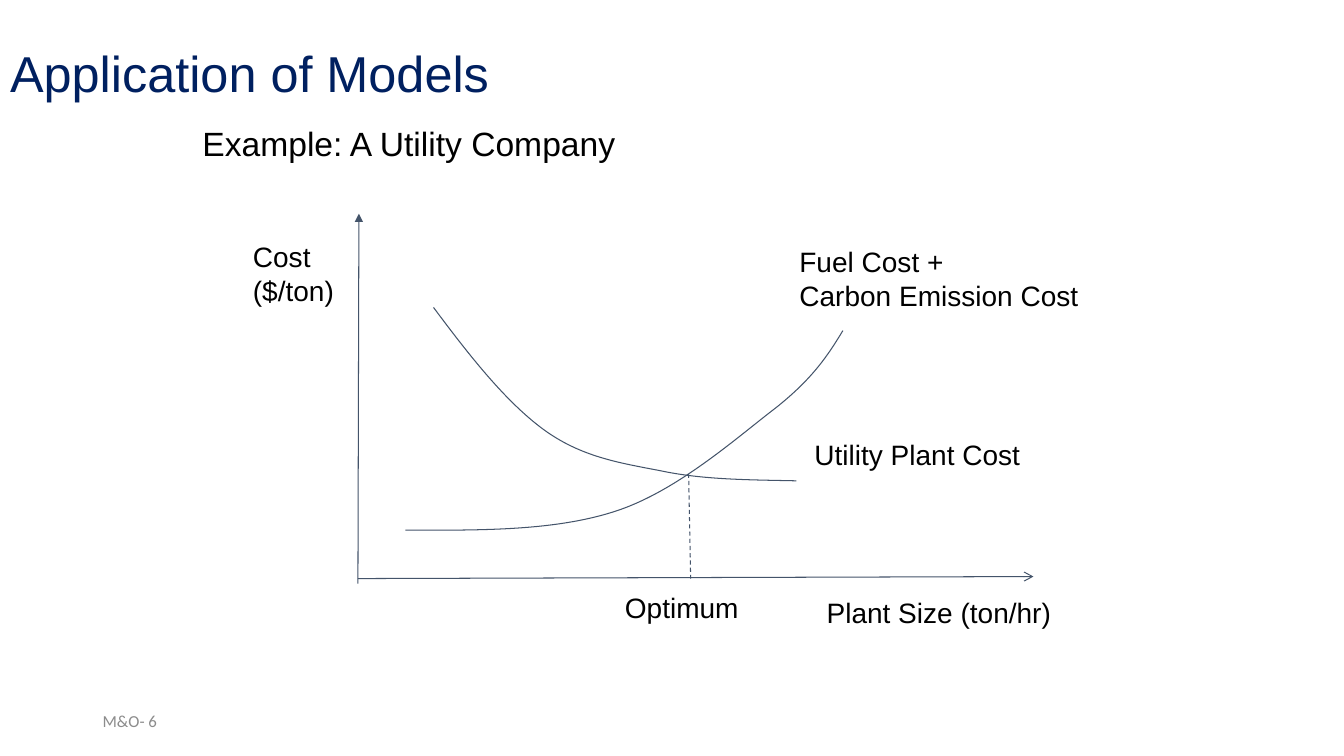
from lxml import etree
from pptx import Presentation
from pptx import util as u
from pptx.dml import color
from pptx.enum import dml, shapes, text
from pptx.oxml import ns

LINE_COLOR = "44546A"


def rgb(value):
    return color.RGBColor.from_string(value)


def write_lines(frame, lines, size, font_name, font_color):
    for index, line in enumerate(lines):
        paragraph = frame.paragraphs[0] if index == 0 else frame.add_paragraph()
        paragraph.alignment = text.PP_ALIGN.LEFT
        run = paragraph.add_run()
        run.text = line
        run.font.size = u.Pt(size)
        run.font.name = font_name
        run.font.color.rgb = rgb(font_color)


presentation = Presentation()
presentation.slide_width = u.Inches(13.33)
presentation.slide_height = u.Inches(7.5)
slide = presentation.slides.add_slide(presentation.slide_layouts[5])

# Title
title = slide.shapes.title
title.left, title.top = u.Inches(0), u.Inches(0.03)
title.width, title.height = u.Inches(11.5), u.Inches(1.45)
title.text_frame.vertical_anchor = text.MSO_ANCHOR.MIDDLE
write_lines(title.text_frame, ["Application of Models"], 36, "Arial", "002060")
title.text_frame.paragraphs[0].line_spacing = 0.9

# Axes and the dashed drop line: start, end, arrowhead element and type, dash
straight_lines = [
    ((3.56, 2.12), (3.55, 5.79), ("a:headEnd", "triangle"), None),
    ((3.55, 5.74), (10.25, 5.72), ("a:tailEnd", "arrow"), None),
    ((6.83, 4.7), (6.85, 5.74), None, dml.MSO_LINE.DASH),
]
for start, end, arrowhead, dash in straight_lines:
    connector = slide.shapes.add_connector(
        shapes.MSO_CONNECTOR.STRAIGHT, *map(u.Inches, start + end))
    connector.line.color.rgb = rgb(LINE_COLOR)
    connector.line.width = u.Pt(0.75)
    if dash:
        connector.line.dash_style = dash
    properties = connector._element.spPr
    if arrowhead:
        tag, kind = arrowhead
        outline = properties.find(ns.qn("a:ln"))
        etree.SubElement(outline, ns.qn(tag)).set("type", kind)
    etree.SubElement(properties, ns.qn("a:effectLst"))

# Cost curves: a start point, then three Bezier points per segment
fuel_and_carbon_cost = [
    (4.02, 5.26),
    (4.76, 5.26), (5.5, 5.27), (6.11, 5.07),
    (6.72, 4.87), (7.31, 4.34), (7.69, 4.05),
    (8.07, 3.75), (8.22, 3.51), (8.36, 3.28),
]
utility_plant_cost = [
    (4.3, 3.05),
    (4.65, 3.52), (5.01, 3.98), (5.39, 4.26),
    (5.76, 4.53), (6.13, 4.59), (6.55, 4.67),
    (6.97, 4.76), (7.43, 4.76), (7.9, 4.77),
]
for points in (fuel_and_carbon_cost, utility_plant_cost):
    start, *rest = [(u.Inches(x), u.Inches(y)) for x, y in points]
    builder = slide.shapes.build_freeform(*start)
    builder.add_line_segments(rest, close=False)
    curve = builder.convert_to_shape()
    curve.shadow.inherit = False
    curve.fill.background()
    curve.line.color.rgb = rgb(LINE_COLOR)
    curve.line.width = u.Pt(0.75)
    # Merge every three line segments into one cubic segment
    segments = list(curve._element.iter(ns.qn("a:lnTo")))
    for first, second, third in zip(*[iter(segments)] * 3):
        first.tag = ns.qn("a:cubicBezTo")
        for segment in (second, third):
            first.append(segment[0])
            segment.getparent().remove(segment)

# Subtitle and chart labels: left, top, width, height, size, wrap, lines
labels = [
    (1.91, 1.17, 4.44, 0.51, 24, False, ["Example: A Utility Company"]),
    (2.41, 2.33, 1.02, 0.77, 20, False, ["Cost", "($/ton)"]),
    (7.83, 2.38, 2.99, 0.77, 20, False, ["Fuel Cost +", "Carbon Emission Cost"]),
    (7.98, 4.29, 2.34, 0.44, 20, True, ["Utility Plant Cost"]),
    (6.1, 5.81, 1.34, 0.44, 20, True, ["Optimum"]),
    (8.1, 5.86, 2.45, 0.44, 20, False, ["Plant Size (ton/hr)"]),
]
for left, top, width, height, size, wrap, lines in labels:
    label = slide.shapes.add_textbox(*map(u.Inches, (left, top, width, height)))
    label.text_frame.word_wrap = wrap
    label.text_frame.auto_size = text.MSO_AUTO_SIZE.SHAPE_TO_FIT_TEXT
    write_lines(label.text_frame, lines, size, "Arial", "000000")

# Page number
footer = slide.shapes.add_textbox(*map(u.Inches, (0.92, 6.95, 3, 0.4)))
footer.text_frame.word_wrap = True
footer.text_frame.vertical_anchor = text.MSO_ANCHOR.MIDDLE
write_lines(footer.text_frame, ["M&O- 6"], 12, "Calibri", "8C8C8C")

presentation.save("out.pptx")
